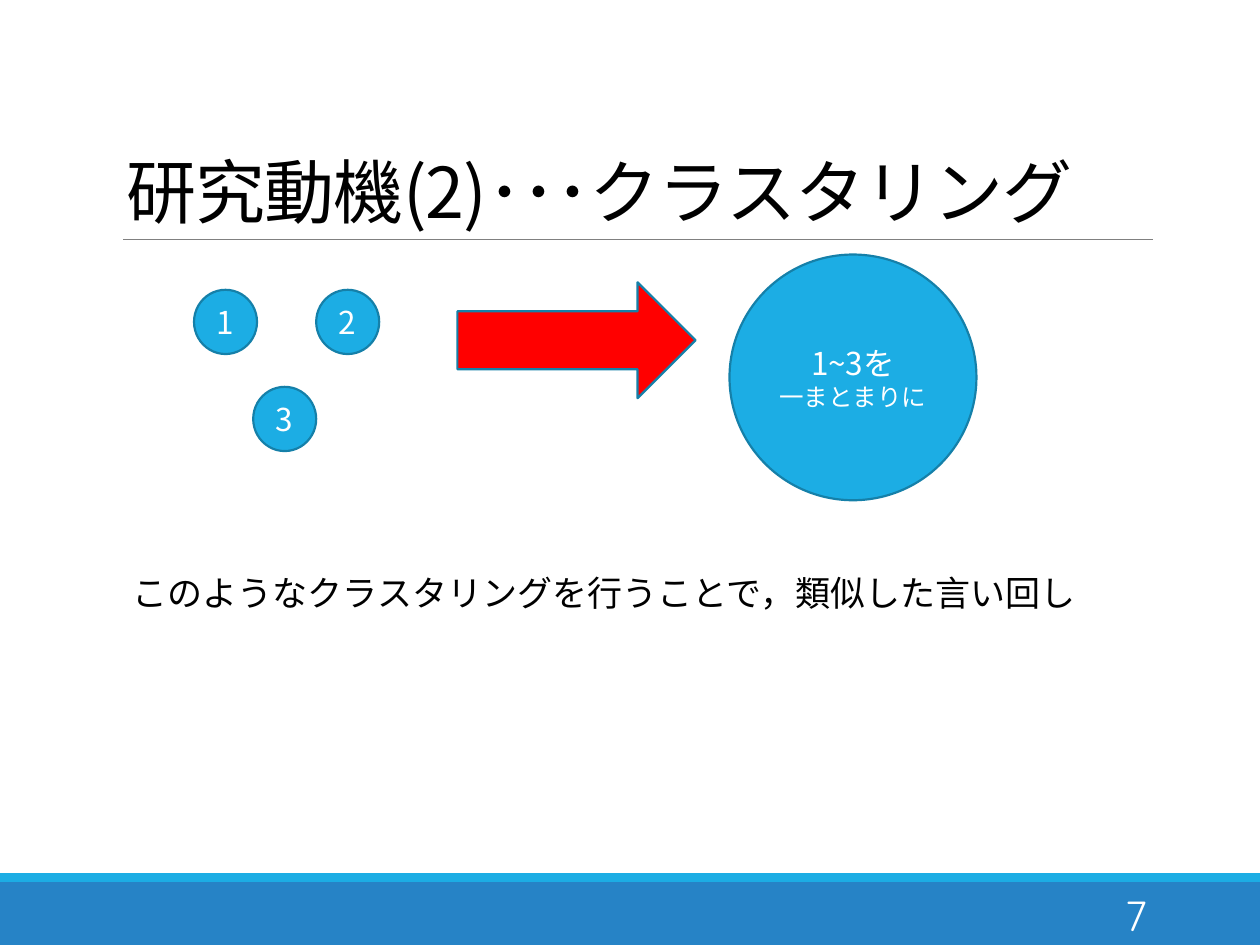
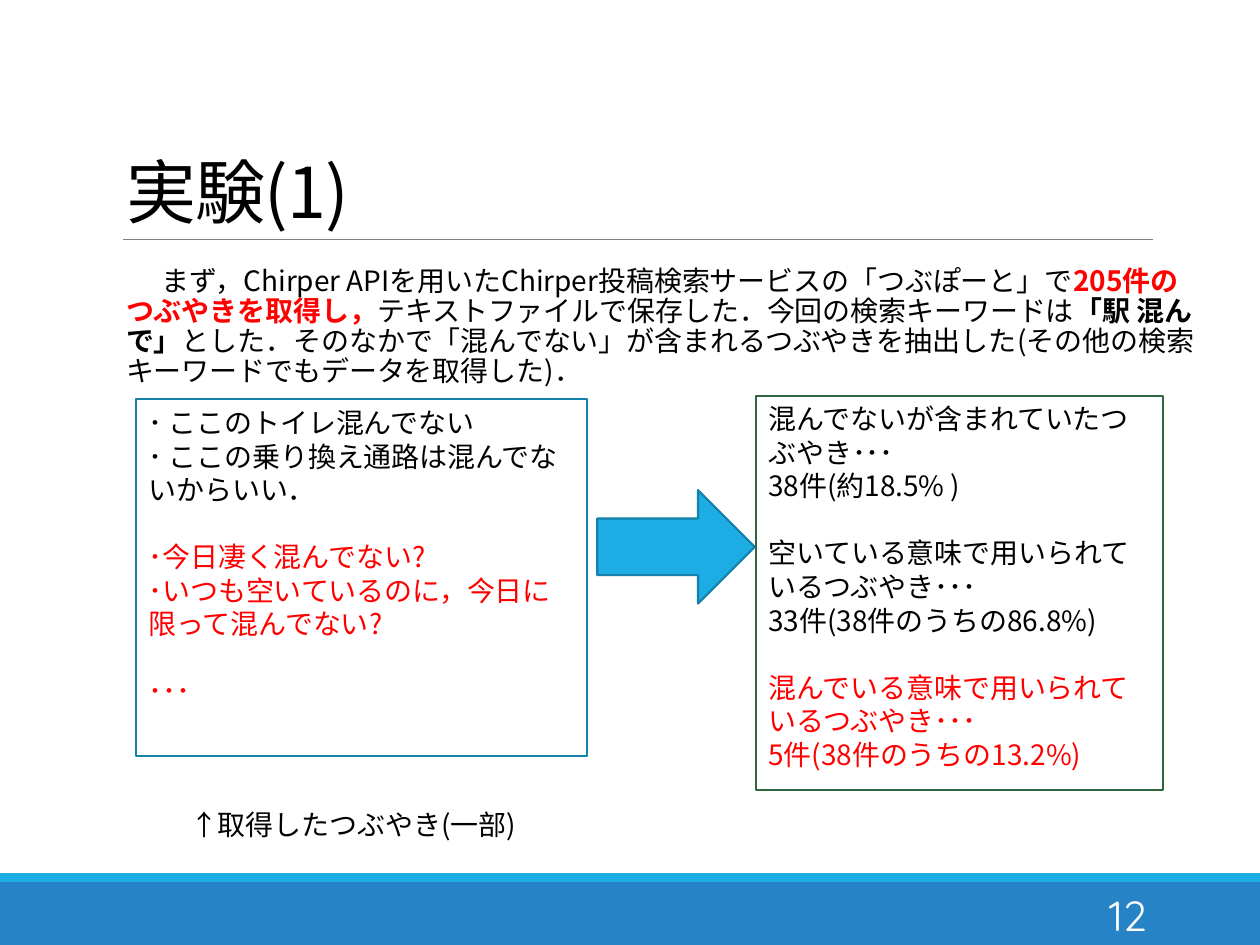
from dataclasses import dataclass, field
from typing import Optional

from lxml.etree import SubElement
from pptx import Presentation
from pptx.dml.color import RGBColor
from pptx.enum.shapes import MSO_CONNECTOR as Connector, MSO_SHAPE as Preset
from pptx.enum.text import MSO_ANCHOR as Anchor, MSO_AUTO_SIZE as AutoSize, PP_ALIGN as Align
from pptx.oxml.ns import qn
from pptx.util import Inches, Pt


@dataclass(frozen=True)
class Theme:
    font: str = "Noto Sans CJK JP"
    number_font: str = "Quicksand"
    black: str = "000000"
    white: str = "FFFFFF"
    red: str = "FF0000"
    sky: str = "1CADE4"
    sky_edge: str = "1580A9"
    blue: str = "2683C6"
    green_edge: str = "2F663E"
    rule: str = "808080"
    title_size: float = 40
    number_size: float = 24
    body_size: float = 20
    label_size: float = 18
    text_size: float = 16
    small_size: float = 14
    edge_width: float = 1.25
    blank_line: float = 19.1  # height of one line at text_size


THEME = Theme()


@dataclass(frozen=True)
class Box:
    left: float
    top: float
    width: float
    height: float

    def lengths(self) -> tuple:
        return tuple(Inches(v) for v in (self.left, self.top, self.width, self.height))


@dataclass(frozen=True)
class TextRun:
    text: str
    size: float = THEME.text_size
    color: str = THEME.black
    bold: bool = False
    font: str = THEME.font
    spacing: float = 0


@dataclass(frozen=True)
class TextLine:
    runs: list
    align: Align = Align.LEFT
    before: float = 0
    after: float = 0
    line_spacing: float = 1.0
    margin: float = 0
    indent: float = 0


@dataclass(frozen=True)
class Figure:
    preset: Preset
    box: Box
    fill: str = THEME.sky
    edge: Optional[str] = THEME.sky_edge
    lines: list = field(default_factory=list)
    anchor: Anchor = Anchor.MIDDLE


def rgb(value: str) -> RGBColor:
    return RGBColor.from_string(value)


def write_lines(frame, lines: list) -> None:
    """Fill a text frame, run by run."""
    frame.word_wrap = True
    frame.auto_size = AutoSize.NONE
    for index, line in enumerate(lines):
        paragraph = frame.paragraphs[0] if index == 0 else frame.add_paragraph()
        paragraph.alignment = line.align
        paragraph.line_spacing = line.line_spacing
        paragraph.space_before = Pt(line.before)
        paragraph.space_after = Pt(line.after)
        properties = paragraph._p.get_or_add_pPr()
        properties.set("marL", str(Inches(line.margin)))
        properties.set("indent", str(Inches(line.indent)))
        SubElement(properties, qn("a:buNone"))
        for item in line.runs:
            run = paragraph.add_run()
            run.text = item.text
            run.font.size = Pt(item.size)
            run.font.bold = item.bold
            run.font.color.rgb = rgb(item.color)
            run.font.name = item.font
            run_properties = run._r.get_or_add_rPr()
            SubElement(run_properties, qn("a:ea")).set("typeface", item.font)
            if item.spacing:
                run_properties.set("spc", str(round(item.spacing * 100)))


def draw_figure(slide, figure: Figure) -> None:
    shape = slide.shapes.add_shape(figure.preset, *figure.box.lengths())
    shape.shadow.inherit = False
    shape.fill.solid()
    shape.fill.fore_color.rgb = rgb(figure.fill)
    if figure.edge:
        shape.line.color.rgb = rgb(figure.edge)
        shape.line.width = Pt(THEME.edge_width)
    else:
        shape.line.fill.background()
    if figure.lines:
        shape.text_frame.vertical_anchor = figure.anchor
        write_lines(shape.text_frame, figure.lines)


def place(shape, box: Box) -> None:
    shape.left, shape.top, shape.width, shape.height = box.lengths()


def add_page(presentation, title: str, title_top: float, number: int):
    """Add a slide with its title, rule, footer bands and number."""
    slide = presentation.slides.add_slide(presentation.slide_layouts[1])

    # Footer bands
    draw_figure(slide, Figure(Preset.RECTANGLE, Box(0, 7, 10, 0.5), THEME.blue, None))
    draw_figure(slide, Figure(Preset.RECTANGLE, Box(0, 6.93, 10, 0.07), THEME.sky, None))

    # Rule under the title
    rule = slide.shapes.add_connector(
        Connector.STRAIGHT, Inches(0.98), Inches(1.9), Inches(9.15), Inches(1.9))
    rule.line.color.rgb = rgb(THEME.rule)
    rule.line.width = Pt(0.5)
    SubElement(rule._element.spPr, qn("a:effectLst"))

    # Title
    heading = slide.shapes.title
    place(heading, Box(0.9, title_top, 8.25, 1.9 - title_top))
    heading.text_frame.vertical_anchor = Anchor.BOTTOM
    write_lines(heading.text_frame, [TextLine(
        [TextRun(title, THEME.title_size, spacing=-0.5)], line_spacing=0.85)])

    # Slide number
    number_box = slide.shapes.add_textbox(*Box(8.12, 7.06, 1.08, 0.4).lengths())
    number_box.text_frame.vertical_anchor = Anchor.MIDDLE
    write_lines(number_box.text_frame, [TextLine(
        [TextRun(str(number), THEME.number_size, THEME.white, font=THEME.number_font)],
        align=Align.RIGHT)])
    return slide


def fill_body(slide, box: Box, runs: list, top_inset: float, indent: float = 0) -> None:
    body = slide.placeholders[1]
    place(body, box)
    frame = body.text_frame
    frame.vertical_anchor = Anchor.TOP
    frame.margin_left = frame.margin_right = 0
    frame.margin_top, frame.margin_bottom = Inches(top_inset), Inches(0.05)
    write_lines(frame, [TextLine(
        runs, after=2, line_spacing=0.9, margin=0.1, indent=indent)])


def label(text: str, size: float = THEME.label_size) -> TextLine:
    return TextLine([TextRun(text, size, THEME.white)], align=Align.CENTER)


def note(text: str, color: str = THEME.black, gap: int = 0, margin: float = 0) -> TextLine:
    """A line in a framed box, set off by a gap counted in lines."""
    return TextLine([TextRun(text, color=color)],
                    before=gap * THEME.blank_line, margin=margin)


def build_clustering(presentation) -> None:
    slide = add_page(presentation, "研究動機(2)･･･クラスタリング", 0.93, 7)
    fill_body(slide, Box(0.95, 2.01, 8.25, 4.4), [TextRun(
        "このようなクラスタリングを行うことで，類似した言い回し", THEME.body_size)],
        top_inset=2.56)

    # Separate items
    for text, left, top in (("1", 1.54, 2.3), ("2", 2.51, 2.3), ("3", 2.01, 3.07)):
        draw_figure(slide, Figure(
            Preset.OVAL, Box(left, top, 0.5, 0.51), lines=[label(text)]))

    # Arrow to the merged cluster
    draw_figure(slide, Figure(Preset.RIGHT_ARROW, Box(3.63, 2.24, 1.89, 0.92), THEME.red))
    draw_figure(slide, Figure(
        Preset.OVAL, Box(5.79, 2.02, 1.96, 1.95),
        lines=[label("1~3を"), label("一まとまりに", THEME.small_size)]))


def build_experiment(presentation) -> None:
    slide = add_page(presentation, "実験(1)", 1.05, 12)
    fill_body(slide, Box(0.9, 2.02, 8.58, 4.88), [
        TextRun("まず，Chirper APIを用いたChirper投稿検索サービスの「つぶぽーと」で"),
        TextRun("205件のつぶやきを取得し，", color=THEME.red, bold=True),
        TextRun("テキストファイルで保存した．今回の検索キーワードは"),
        TextRun("「駅 混んで」", bold=True),
        TextRun("とした．そのなかで「混んでない」が含まれるつぶやきを抽出した"
                "(その他の検索キーワードでもデータを取得した)．"),
    ], top_inset=0.1, indent=0.28)

    # Collected posts, with the caption below the frame
    draw_figure(slide, Figure(
        Preset.RECTANGLE, Box(1.08, 3.17, 3.58, 2.83), THEME.white, anchor=Anchor.TOP,
        lines=[
            note("･ ここのトイレ混んでない"),
            note("･ ここの乗り換え通路は混んでないからいい．"),
            note("･今日凄く混んでない?", THEME.red, gap=1),
            note("･いつも空いているのに，今日に 限って混んでない?", THEME.red),
            note("･･･", THEME.red, gap=1),
            note("↑取得したつぶやき(一部)", gap=3, margin=0.33),
        ]))

    # Arrow to the counts
    draw_figure(slide, Figure(Preset.RIGHT_ARROW, Box(4.74, 3.89, 1.25, 0.9)))
    draw_figure(slide, Figure(
        Preset.RECTANGLE, Box(6, 3.14, 3.23, 3.13), THEME.white, THEME.green_edge,
        anchor=Anchor.TOP,
        lines=[
            note("混んでないが含まれていたつぶやき･･･"),
            note("38件(約18.5% )"),
            note("空いている意味で用いられているつぶやき･･･", gap=1),
            note("33件(38件のうちの86.8%)"),
            note("混んでいる意味で用いられているつぶやき･･･", THEME.red, gap=1),
            note("5件(38件のうちの13.2%)", THEME.red),
        ]))


def main() -> None:
    presentation = Presentation()
    presentation.slide_width, presentation.slide_height = Inches(10), Inches(7.5)
    build_clustering(presentation)
    build_experiment(presentation)
    presentation.save("out.pptx")


main()
